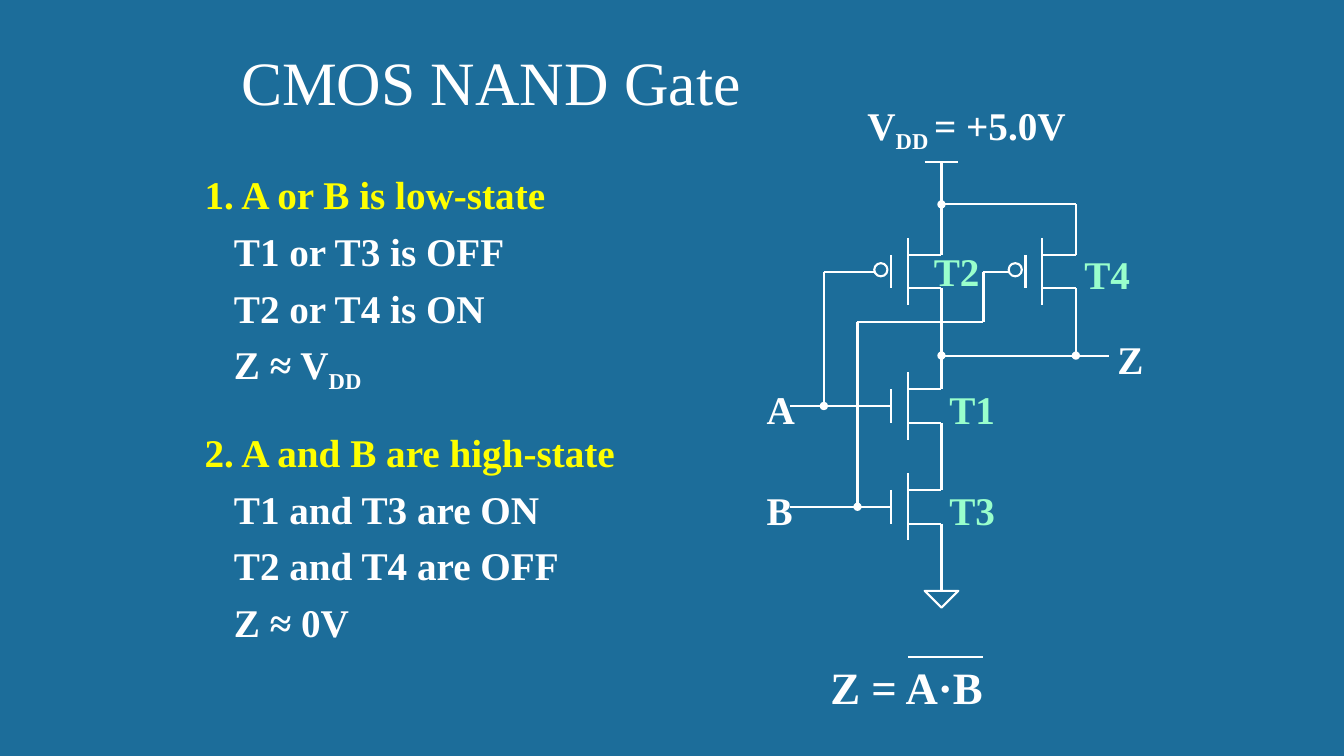
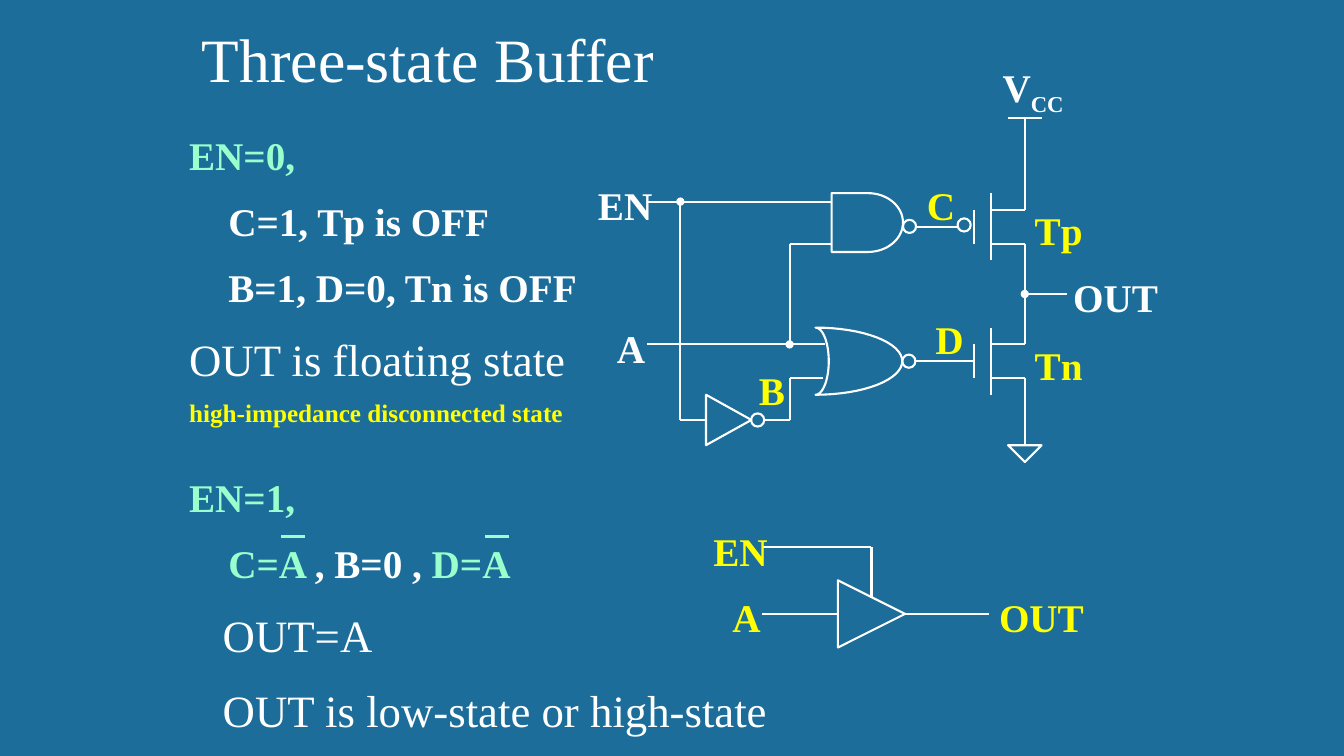
import math
from dataclasses import dataclass

from lxml import etree
from pptx import Presentation
from pptx.dml.color import RGBColor
from pptx.enum.shapes import MSO_CONNECTOR, MSO_SHAPE
from pptx.enum.text import MSO_ANCHOR, MSO_AUTO_SIZE, PP_ALIGN
from pptx.oxml.ns import qn
from pptx.util import Pt

STRAIGHT = MSO_CONNECTOR.STRAIGHT
ELLIPSE = MSO_SHAPE.OVAL
TRIANGLE = MSO_SHAPE.ISOSCELES_TRIANGLE
BOTTOM = MSO_ANCHOR.BOTTOM
NO_AUTOFIT = MSO_AUTO_SIZE.NONE
LEFT = PP_ALIGN.LEFT

COLORS = {
    "background": "1C6D9A",
    "white": "FFFFFF",
    "yellow": "FFFF00",
    "mint": "99FFCC",
}
FONT = "Times New Roman"
TITLE_ONLY = 5
BUBBLE = 9.4


@dataclass
class Span:
    text: str
    color: str = "white"
    size: float = 28
    bold: bool = True
    subscript: bool = False


@dataclass
class Line:
    spans: list
    indent: float = 0
    before: float = 0


def rgb(name):
    return RGBColor.from_string(COLORS[name])


def add_span(para, span):
    run = para.add_run()
    run.text = span.text
    run.font.name = FONT
    run.font.size = Pt(span.size)
    run.font.bold = span.bold
    run.font.color.rgb = rgb(span.color)
    if span.subscript:
        run._r.get_or_add_rPr().set("baseline", "-25000")


def add_text(page, left, top, width, height, lines, wrap=True, spacing=None):
    box = page.shapes.add_textbox(Pt(left), Pt(top), Pt(width), Pt(height))
    frame = box.text_frame
    frame.word_wrap = wrap
    for index, line in enumerate(lines):
        para = frame.add_paragraph() if index else frame.paragraphs[0]
        para._p.get_or_add_pPr().set("marL", str(Pt(line.indent)))
        para.space_before = Pt(line.before)
        if spacing:
            para.line_spacing = spacing
        for span in line.spans:
            add_span(para, span)


def add_labels(page, color, labels):
    for text, left, top, width in labels:
        add_text(page, left, top, width, 41, [Line([Span(text, color)])], wrap=False)


def add_page(deck, title, left, top):
    page = deck.slides.add_slide(deck.slide_layouts[TITLE_ONLY])
    box = page.shapes.title
    box.left, box.top, box.width, box.height = Pt(left), Pt(top), Pt(612), Pt(60)
    frame = box.text_frame
    frame.auto_size = NO_AUTOFIT
    frame.vertical_anchor = BOTTOM
    para = frame.paragraphs[0]
    para.alignment = LEFT
    add_span(para, Span(title, size=44, bold=False))
    return page


def add_wire(page, *points, dot=False, color="white", weight=1.5):
    for index, (start, end) in enumerate(zip(points, points[1:])):
        ends = [Pt(value) for value in (*start, *end)]
        wire = page.shapes.add_connector(STRAIGHT, *ends)
        wire.line.color.rgb = rgb(color)
        wire.line.width = Pt(weight)
        if dot and index == 0:
            outline = wire.line._get_or_add_ln()
            etree.SubElement(outline, qn("a:headEnd"), type="oval")
        etree.SubElement(wire._element.spPr, qn("a:effectLst"))


def outline_only(shape):
    shape.shadow.inherit = False
    shape.fill.background()
    shape.line.color.rgb = rgb("white")
    shape.line.width = Pt(1.5)


def add_bubble(page, left, top):
    outline_only(page.shapes.add_shape(ELLIPSE, Pt(left), Pt(top), Pt(BUBBLE), Pt(BUBBLE)))


def add_triangle(page, center_x, center_y, base, height, rotation):
    shape = page.shapes.add_shape(
        TRIANGLE, Pt(center_x - base / 2), Pt(center_y - height / 2), Pt(base), Pt(height)
    )
    shape.rotation = rotation
    outline_only(shape)


def add_outline(page, points):
    corners = [(Pt(x), Pt(y)) for x, y in points]
    builder = page.shapes.build_freeform(*corners[0])
    builder.add_line_segments(corners[1:], close=True)
    outline_only(builder.convert_to_shape())


def arc(center_x, center_y, radius_x, radius_y, steps=32):
    angles = [math.pi * (step / steps - 0.5) for step in range(steps + 1)]
    return [
        (center_x + radius_x * math.cos(angle), center_y + radius_y * math.sin(angle))
        for angle in angles
    ]


def add_transistor(page, gate, top, inverted=False):
    channel, drain = gate + 12, gate + 36
    add_wire(page, (gate, top), (gate, top + 24))
    add_wire(page, (channel, top - 12), (channel, top + 36))
    for y in (top, top + 24):
        add_wire(page, (channel, y), (drain, y))
    if inverted:
        add_bubble(page, gate - 12, top + 6)


def add_supply(page, x, y):
    add_wire(page, (x - 12, y), (x + 12, y))
    add_wire(page, (x, y), (x, y + 66))


def add_ground(page, x, start, end):
    add_wire(page, (x, start), (x, end))
    add_triangle(page, x, end + 6, 24, 12, 180)


def build_nand_page(deck):
    page = add_page(deck, "CMOS NAND Gate", 165, 28)
    add_text(page, 103, 118, 459, 367, [
        Line([Span("1. A or B is low-state", "yellow")], 36),
        Line([Span("T1 or T3 is OFF")], 57, 7),
        Line([Span("T2 or T4 is ON")], 57, 7),
        Line([Span("Z ≈ V"), Span("DD", subscript=True)], 57, 7),
        Line([Span("2. A and B are high-state", "yellow")], 36, 24),
        Line([Span("T1 and T3 are ON")], 57, 7),
        Line([Span("T2 and T4 are OFF")], 57, 7),
        Line([Span("Z ≈ 0V")], 57, 7),
    ])

    add_supply(page, 672.5, 116)
    for gate, top, inverted in (
        (636.5, 182, True), (732.5, 182, True), (636.5, 278, False), (636.5, 350, False)
    ):
        add_transistor(page, gate, top, inverted)
    add_wire(page, (672.5, 146), (768.5, 146), (768.5, 182), dot=True)
    add_wire(page, (672.5, 206), (672.5, 278))
    add_wire(page, (672.5, 254), (792.5, 254), dot=True)
    add_wire(page, (768.5, 254), (768.5, 206), dot=True)
    add_wire(page, (672.5, 302), (672.5, 350))
    for y in (290, 362):
        add_wire(page, (564.5, y), (636.5, y))
    add_wire(page, (588.5, 290), (588.5, 194), (624.5, 194), dot=True)
    add_wire(page, (612.5, 362), (612.5, 230), (702.5, 230), (702.5, 194), (720.5, 194), dot=True)
    add_ground(page, 672.5, 374, 422)

    supply = [Span("V"), Span("DD ", subscript=True), Span("= +5.0V")]
    add_text(page, 612.5, 68.5, 162, 41, [Line(supply)], wrap=False)
    add_labels(page, "white", [
        ("Z", 791, 236, 33), ("A", 540.5, 272, 35), ("B", 540.5, 344, 33),
    ])
    add_labels(page, "mint", [
        ("T1", 671, 272, 47.5), ("T2", 660, 173, 47.5),
        ("T4", 767.5, 175.5, 47.5), ("T3", 671, 344, 47.5),
    ])
    add_text(page, 586, 468, 196.5, 46, [Line([Span("Z = A·B", size=32)])])
    add_wire(page, (648.5, 469.5), (702.5, 469.5))


def build_buffer_page(deck):
    page = add_page(deck, "Three-state Buffer", 137, 11)
    add_text(page, 128, 77, 584, 455, [
        Line([Span("EN=0,", "mint")]),
        Line([Span("C=1, Tp is OFF")], 28),
        Line([Span("B=1, D=0, Tn is OFF")], 28),
        Line([Span("OUT is floating state", size=32, bold=False)]),
        Line([Span("high-impedance disconnected state", "yellow", 18)]),
        Line([Span("EN=1,", "mint")], 0, 19),
        Line([Span("C=A ", "mint"), Span(", B=0 , "), Span("D=A", "mint")], 28),
        Line([Span("OUT=A", size=32, bold=False)], 24),
        Line([Span("OUT is low-state or high-state", size=32, bold=False)], 24),
    ], spacing=1.4)
    for left in (201, 346.5):
        add_wire(page, (left, 383), (left + 17, 383), color="mint", weight=2)

    add_supply(page, 732, 84)
    add_transistor(page, 696, 150, True)
    add_transistor(page, 696, 246)
    add_wire(page, (732, 174), (732, 246))
    add_wire(page, (732, 210), (762, 210), dot=True)
    add_ground(page, 732, 270, 318)

    add_outline(page, [(594, 138), *arc(620, 159, 25, 21), (594, 180)])
    add_bubble(page, 645, 157)
    add_outline(page, arc(582.5, 258, 62, 24) + arc(582.5, 258, 9.5, 24)[::-1])
    add_bubble(page, 644.5, 253.3)
    add_triangle(page, 520.5, 300, 36, 32.4, 90)
    add_bubble(page, 536.5, 295.3)

    add_wire(page, (654, 162), (684, 162))
    add_wire(page, (654, 258), (696, 258))
    add_wire(page, (462, 144), (594, 144))
    add_wire(page, (462, 246), (589, 246))
    add_wire(page, (486, 144), (486, 300), (504, 300), dot=True)
    add_wire(page, (564, 246), (564, 174), (594, 174), dot=True)
    add_wire(page, (588, 270), (564, 270), (564, 300), (546, 300))

    add_triangle(page, 622.5, 438.5, 48, 48, 90)
    add_wire(page, (646.5, 438.5), (706.5, 438.5))
    add_wire(page, (598.5, 438.5), (544.5, 438.5))
    add_wire(page, (622.5, 427), (622.5, 391), (544.5, 391))

    supply = [Span("V"), Span("CC", subscript=True)]
    add_text(page, 709, 42, 62, 41, [Line(supply)], wrap=False)
    add_labels(page, "white", [
        ("OUT", 759.5, 192, 75.5), ("EN", 420, 126, 54), ("A", 433.5, 228, 35),
    ])
    add_labels(page, "yellow", [
        ("B", 535, 258, 33), ("C", 655, 126, 35), ("D", 661, 222, 35),
        ("Tp", 732, 144, 49), ("Tn", 732, 240, 49),
        ("A", 516, 420.5, 35), ("EN", 502.5, 373, 54), ("OUT", 706.5, 420.5, 75.5),
    ])


def main():
    deck = Presentation()
    deck.slide_width, deck.slide_height = Pt(960), Pt(540)
    fill = deck.slide_master.background.fill
    fill.solid()
    fill.fore_color.rgb = rgb("background")
    build_nand_page(deck)
    build_buffer_page(deck)
    deck.save("out.pptx")


if __name__ == "__main__":
    main()
